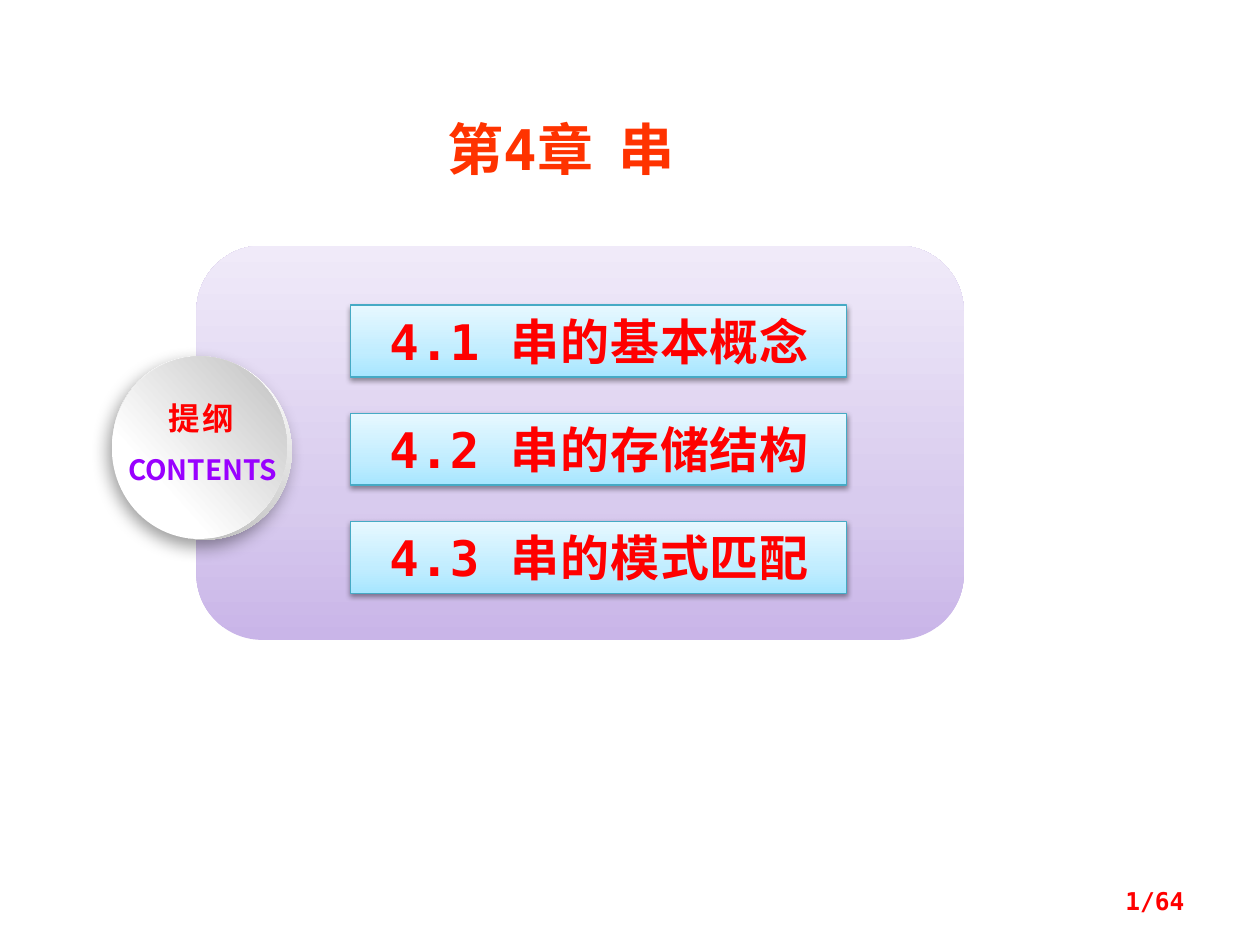
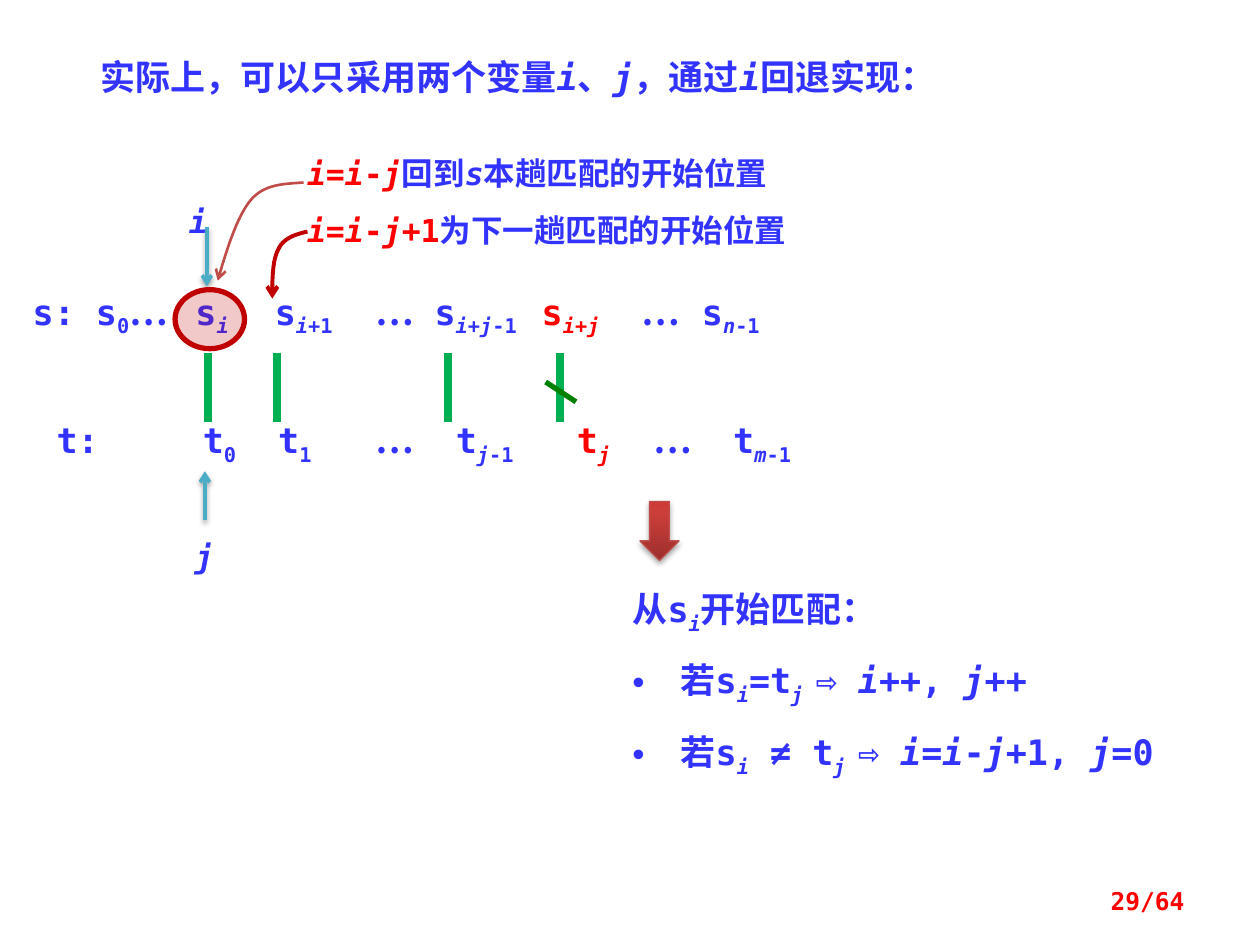
"""Build two slides on strings: the chapter outline and matching by stepping i back."""
import pptx
import pptx.util
import pptx.dml.color
import pptx.oxml.ns
import pptx.enum.shapes
import pptx.enum.text
from lxml import etree


class Theme:
    mono, sans = "DejaVu Sans Mono", "Noto Sans CJK SC"
    blue, red, title, violet = "3333FF", "FF0000", "FF3300", "9900FF"
    white, green, slash = "FFFFFF", "00B050", "008000"
    teal, edge, dark, rust = "4BACC6", "46AAC5", "C00000", "BF4C48"
    panel = ([(0, "C9B5E8"), (35, "D8CBEE"), (100, "F0EAF9")], 270)
    item = ([(0, "A7E6FF"), (35, "C1EDFF"), (100, "E7F8FF")], 270)
    rim = ([(17, "FFFFFF"), (88, "B8B8B8")], 45)
    face = ([(29, "FFFFFF"), (98, "BFBFBF")], 45)
    arrow = ([(0, "9C2F2D"), (80, "CB3E3A"), (100, "CE3B37")], 270)
    soft = (38, 3.1, 1.6, 90)
    firm = (35, 3.1, 1.8, 90)
    deep = (39, 10, 5, 123)
    huge, big, body, note, tag, foot = 32, 28, 20, 18, 16, 14


TOPICS = ["4.1 串的基本概念", "4.2 串的存储结构", "4.3 串的模式匹配"]
TOTAL = 64

# Style flags: i italic, _ subscript, r red, n sans font.
HEAD = [("实际上，可以只采用两个变量", ""), ("i", "i"), ("、", ""), ("j", "i"),
        ("，通过", ""), ("i", "i"), ("回退实现：", "")]
ROWS = [
    ((0.41, 5.72, 15.47, 1.27), [3.28, 4.88, 6.91, 8.1, 10.26, 12.27, 13.49],
     [("s: s", ""), ("0", "_"), ("…", "n"), ("\ts", ""), ("i", "i_"),
      ("\ts", ""), ("i", "i_"), ("+1", "_"), ("\t…", "n"),
      ("\ts", ""), ("i", "i_"), ("+", "_"), ("j", "i_"), ("-1", "_"),
      ("\ts", "r"), ("i", "ri_"), ("+", "r_"), ("j", "ri_"), ("\t…", "n"),
      ("\ts", ""), ("n", "i_"), ("-1", "_")]),
    ((0.89, 8.31, 15.62, 1.12), [2.95, 4.47, 6.43, 8.05, 10.49, 12.04, 13.64],
     [("t:", ""), ("\tt", ""), ("0", "_"), ("\tt", ""), ("1", "_"),
      ("\t…", "n"), ("\tt", ""), ("j", "i_"), ("-1", "_"),
      ("\tt", "r"), ("j", "ri_"), ("\t…", "n"),
      ("\tt", ""), ("m", "i_"), ("-1", "_")]),
]
BACK = [("i", "ri"), ("=", "r"), ("i", "ri"), ("-", "r"), ("j", "ri")]
START = BACK + [("回到", ""), ("s", "i"), ("本趟匹配的开始位置", "")]
NEXT = BACK + [("+1", "r"), ("为下一趟匹配的开始位置", "")]
RULES = [
    [("从s", ""), ("i", "i_"), ("开始匹配：", "")],
    [("若s", ""), ("i", "i_"), ("=t", ""), ("j ", "i_"), ("⇨ ", ""),
     ("i", "i"), ("++, ", ""), ("j", "i"), ("++", "")],
    [("若s", ""), ("i", "i_"), (" ≠ t", ""), ("j ", "i_"), ("⇨ ", ""),
     ("i", "i"), ("=", ""), ("i", "i"), ("-", ""), ("j", "i"),
     ("+1, ", ""), ("j", "i"), ("=0", "")],
]
TICKS = [4.19, 5.59, 9.04, 11.28]
MARKS = [("i", (3.56, 3.94, 0.99, 1.02), (4.17, 4.57, 4.17, 5.77)),
         ("j", (3.68, 10.69, 0.99, 1.02), (4.13, 10.49, 4.13, 9.5))]
CURVES = [
    ([(6.12, 3.68), (5.71, 3.71), (5.33, 3.71), (5.05, 4.04),
      (4.78, 4.37), (4.57, 5.03), (4.39, 5.66)], Theme.rust, 1.5),
    ([(6.2, 4.67), (5.97, 4.72), (5.71, 4.8), (5.61, 5.03),
      (5.49, 5.26), (5.49, 5.64), (5.49, 6.02)], Theme.dark, 2.25),
]

Cm, Pt = pptx.util.Cm, pptx.util.Pt
KIND = pptx.enum.shapes.MSO_SHAPE
ALIGN = pptx.enum.text.PP_ALIGN
ANCHOR = pptx.enum.text.MSO_ANCHOR
qn = pptx.oxml.ns.qn


def rgb(code):
    return pptx.dml.color.RGBColor.from_string(code)


def put(obj, vals):
    for name, val in vals.items():
        setattr(obj, name, val)


def sub(node, tag, **attrs):
    kid = etree.SubElement(node, qn(tag))
    for name, val in attrs.items():
        kid.set(name, str(val))
    return kid


def glow(shape, shade=None):
    fx = sub(shape._element.spPr, "a:effectLst")
    if shade:
        alpha, blur, dist, angle = shade
        drop = sub(fx, "a:outerShdw", blurRad=int(Pt(blur)), dist=int(Pt(dist)),
                   dir=angle * 60000, rotWithShape=0)
        sub(sub(drop, "a:srgbClr", val="000000"), "a:alpha", val=alpha * 1000)


def paint(shape, fill, alpha=None):
    if fill is None:
        shape.fill.background()
    elif isinstance(fill, str):
        shape.fill.solid()
        shape.fill.fore_color.rgb = rgb(fill)
        if alpha:
            clr = shape._element.spPr.find(qn("a:solidFill"))[0]
            sub(clr, "a:alpha", val=alpha * 1000)
    else:
        stops, angle = fill
        shape.fill.gradient()
        shape.fill.gradient_angle = 360 - angle
        bag = shape._element.spPr.find(qn("a:gradFill")).find(qn("a:gsLst"))
        for old in list(bag):
            bag.remove(old)
        for pos, code in stops:
            sub(sub(bag, "a:gs", pos=pos * 1000), "a:srgbClr", val=code)


def stroke(shape, code, width, tip=False):
    shape.line.color.rgb = rgb(code)
    shape.line.width = Pt(width)
    if tip:
        sub(shape._element.spPr.find(qn("a:ln")), "a:tailEnd", type="arrow")


def block(slide, kind, area, fill, line=None, shade=None, alpha=None, turn=0):
    shape = slide.shapes.add_shape(kind, *map(Cm, area))
    shape.rotation = turn
    paint(shape, fill, alpha)
    if line:
        stroke(shape, *line)
    else:
        shape.line.fill.background()
    glow(shape, shade)
    return shape


def wire(slide, ends, code, width, tip=False, shade=None):
    kind = pptx.enum.shapes.MSO_CONNECTOR.STRAIGHT
    line = slide.shapes.add_connector(kind, *map(Cm, ends))
    stroke(line, code, width, tip)
    glow(line, shade)


def curve(slide, knots, code, width, steps=16):
    dots = []
    for first in range(0, len(knots) - 1, 3):
        part = knots[first:first + 4]
        for step in range(steps + 1):
            t = step / steps
            mix = ((1 - t) ** 3, 3 * t * (1 - t) ** 2, 3 * t * t * (1 - t), t ** 3)
            dots.append(tuple(Cm(sum(m * p[axis] for m, p in zip(mix, part)))
                              for axis in (0, 1)))
    pen = slide.shapes.build_freeform(*dots[0])
    pen.add_line_segments(dots[1:], close=False)
    shape = pen.convert_to_shape()
    paint(shape, None)
    stroke(shape, code, width, True)
    glow(shape)


def write(par, runs, size, color=Theme.blue, font=Theme.mono, gap=0):
    for text, flags in runs:
        run = par.add_run()
        run.text = text
        put(run.font, {"size": Pt(size), "bold": True, "italic": "i" in flags,
                       "name": Theme.sans if "n" in flags else font})
        run.font.color.rgb = rgb(Theme.red if "r" in flags else color)
        props = run._r.get_or_add_rPr()
        sub(props, "a:ea", typeface=Theme.sans)
        if "_" in flags:
            props.set("baseline", "-25000")
        if gap:
            props.set("spc", str(int(gap * 100)))


def fit(shape, left=0.25, anchor=ANCHOR.TOP):
    put(shape.text_frame, {
        "word_wrap": True, "vertical_anchor": anchor, "margin_left": Cm(left),
        "margin_right": Cm(0.25), "margin_top": Cm(0.13), "margin_bottom": Cm(0.13)})
    return shape.text_frame.paragraphs[0]


def label(slide, area, runs, size, align=ALIGN.LEFT, anchor=ANCHOR.TOP, **look):
    box = slide.shapes.add_textbox(*map(Cm, area))
    par = fit(box, anchor=anchor)
    par.alignment = align
    write(par, runs, size, **look)
    return box


def footer(slide, page):
    label(slide, (18.21, 17.65, 5.92, 1.02), [(f"{page}/{TOTAL}", "r")],
          Theme.foot, ALIGN.RIGHT, ANCHOR.MIDDLE)


def outline(slide):
    block(slide, KIND.ROUNDED_RECTANGLE, (3.96, 4.95, 15.47, 7.95), Theme.panel)
    for row, topic in enumerate(TOPICS):
        bar = block(slide, KIND.RECTANGLE, (7.06, 6.15 + 2.18 * row, 10.01, 1.45),
                    Theme.item, (Theme.edge, 0.75), Theme.soft)
        par = fit(bar, 0.79)
        par.alignment = ALIGN.LEFT
        write(par, [(topic, "")], Theme.big, Theme.red, gap=0.5)
    head = block(slide, KIND.RECTANGLE, (6.35, 2.18, 9.93, 1.63),
                 Theme.white, (Theme.white, 2))
    par = fit(head)
    par.alignment = ALIGN.CENTER
    write(par, [("第4章", "")], Theme.huge, Theme.title)
    write(par, [(" ", "n")], Theme.huge, Theme.title, gap=7)
    write(par, [("串", "")], Theme.huge, Theme.title)
    block(slide, KIND.OVAL, (2.21, 7.24, 3.73, 3.58), Theme.rim,
          shade=Theme.deep, turn=62.3)
    block(slide, KIND.OVAL, (2.18, 7.26, 3.68, 3.53), Theme.face, turn=273)
    label(slide, (2.03, 8.99, 4.11, 0.94), [("CONTENTS", "")], Theme.tag,
          ALIGN.CENTER, color=Theme.violet, font=Theme.sans)
    label(slide, (3.05, 7.92, 2.03, 1.02), [("提纲", "")], Theme.note,
          ALIGN.CENTER, color=Theme.red, font=Theme.sans, gap=1.5)
    footer(slide, 1)


def rules(slide):
    frame = label(slide, (12.5, 11.23, 12.12, 3.96), RULES[0], Theme.body).text_frame
    frame.paragraphs[0].line_spacing = 1.5
    for rule in RULES[1:]:
        par = frame.add_paragraph()
        props = par._p.get_or_add_pPr()
        props.set("marL", str(int(Cm(0.97))))
        props.set("indent", str(int(Cm(-0.97))))
        sub(props, "a:buFont", typeface="Arial")
        sub(props, "a:buChar", char="•")
        par.line_spacing = 1.5
        write(par, rule, Theme.body)


def match(slide):
    label(slide, (1.78, 0.99, 20.83, 1.12), HEAD, Theme.body)
    for area, stops, runs in ROWS:
        box = slide.shapes.add_textbox(*map(Cm, area))
        par = fit(box)
        tabs = sub(par._p.get_or_add_pPr(), "a:tabLst")
        for stop in stops:
            sub(tabs, "a:tab", pos=int(Cm(stop)), algn="l")
        write(par, runs, Theme.body)
    for name, area, ends in MARKS:
        wire(slide, ends, Theme.teal, 2, True, Theme.soft)
        label(slide, area, [(name, "i")], Theme.note)
    for x in TICKS:
        wire(slide, (x, 7.11, x, 8.51), Theme.green, 4.5)
    wire(slide, (11, 7.7, 11.61, 8.1), Theme.slash, 3)
    label(slide, (5.94, 2.97, 10.8, 1.02), START, Theme.note)
    block(slide, KIND.OVAL, (3.53, 5.84, 1.4, 1.19), Theme.dark,
          (Theme.dark, 3), alpha=21)
    rules(slide)
    plate = block(slide, KIND.RECTANGLE, (5.94, 3.96, 10.72, 1.19), Theme.white)
    par = fit(plate)
    put(par, {"alignment": ALIGN.LEFT, "line_spacing": Pt(26)})
    write(par, NEXT, Theme.note)
    for knots, code, width in CURVES:
        curve(slide, knots, code, width)
    block(slide, KIND.DOWN_ARROW, (12.9, 10.11, 0.79, 1.19), Theme.arrow,
          (Theme.rust, 0.75), Theme.firm)
    footer(slide, 29)


def main():
    deck = pptx.Presentation()
    put(deck, {"slide_width": Cm(25.4), "slide_height": Cm(19.05)})
    for draw in (outline, match):
        draw(deck.slides.add_slide(deck.slide_layouts[6]))
    deck.save("out.pptx")


if __name__ == "__main__":
    main()
